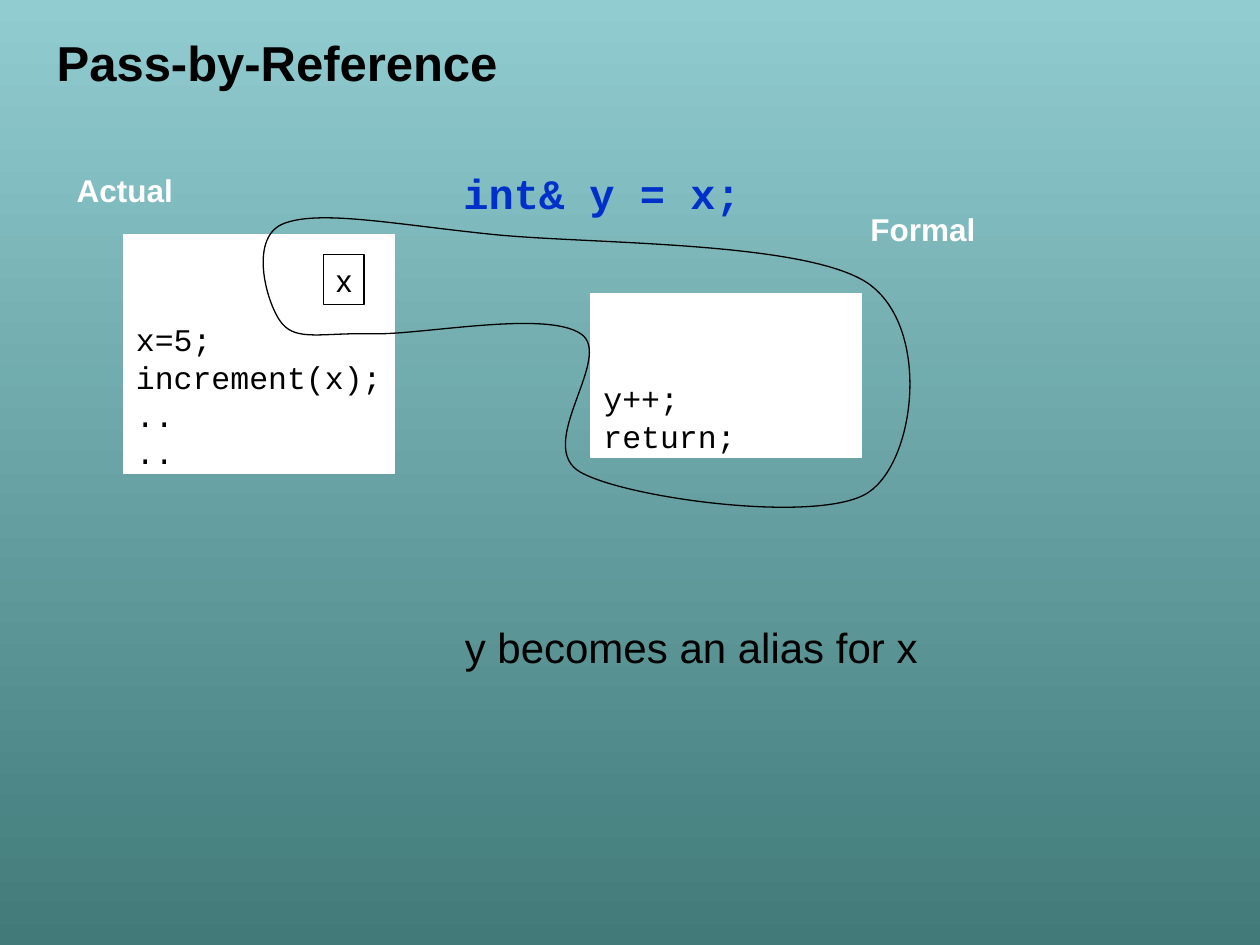
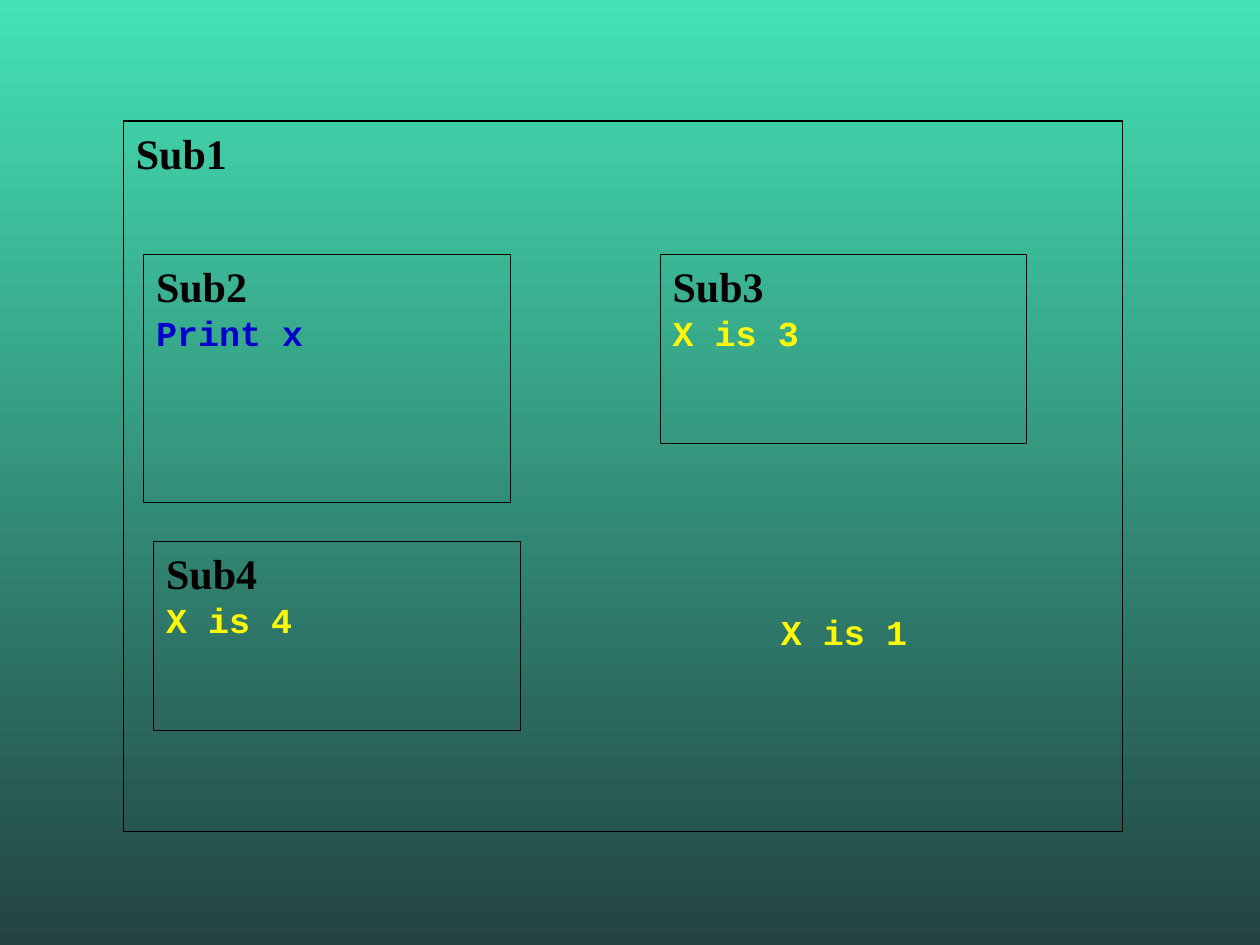
import pptx
import pptx.dml.color
import pptx.enum.shapes
import pptx.enum.text
import pptx.oxml.ns
import pptx.util
import lxml.etree

Inches = pptx.util.Inches
Pt = pptx.util.Pt
Anchor = pptx.enum.text.MSO_ANCHOR

SANS, SERIF, MONO = "Arial", "Times New Roman", "Courier New"
BLACK, WHITE = "000000", "FFFFFF"
NAVY, BLUE, YELLOW = "0030CA", "0000CC", "FDF709"

# Loop around x and the formal block: a start, then three points per curve
START = (2.95, 2.65)
CURVES = [
    (2.56, 2.64), (2.36, 2.71), (2.24, 2.57),
    (2.12, 2.43), (1.97, 1.90), (2.24, 1.78),
    (2.52, 1.66), (3.12, 1.78), (3.90, 1.86),
    (4.67, 1.94), (6.39, 1.91), (6.89, 2.25),
    (7.39, 2.60), (7.27, 3.66), (6.89, 3.91),
    (6.51, 4.16), (4.99, 3.96), (4.61, 3.75),
    (4.23, 3.54), (4.88, 2.83), (4.61, 2.65),
    (4.33, 2.46), (3.35, 2.66), START,
]


def color(code):
    return pptx.dml.color.RGBColor.from_string(code)


def paint(slide, top, bottom):
    """Fill the background with a gradient running downwards."""
    fill = slide.background.fill
    fill.gradient()
    fill.gradient_angle = 270
    for stop, code in zip(fill.gradient_stops, (top, bottom)):
        stop.color.rgb = color(code)


def write(shape, lines, wrap=True, anchor=Anchor.TOP):
    """Write one paragraph per (text, size, font, colour, bold) line."""
    frame = shape.text_frame
    frame.word_wrap = wrap
    frame.auto_size = pptx.enum.text.MSO_AUTO_SIZE.NONE
    frame.vertical_anchor = anchor
    frame.margin_left = frame.margin_right = Inches(0.1)
    frame.margin_top = frame.margin_bottom = Inches(0.05)
    for i, (text, size, font, code, bold) in enumerate(lines):
        para = frame.add_paragraph() if i else frame.paragraphs[0]
        para.alignment = pptx.enum.text.PP_ALIGN.LEFT
        para.line_spacing = Pt(1.2 * size)
        para.space_before = Pt(0)
        run = para.add_run()
        run.text = text
        run.font.size = Pt(size)
        run.font.name = font
        run.font.bold = bold
        run.font.color.rgb = color(code)


def style(shape, line, fill=None, width=0.75):
    shape.shadow.inherit = False
    if fill:
        shape.fill.solid()
        shape.fill.fore_color.rgb = color(fill)
    else:
        shape.fill.background()
    shape.line.color.rgb = color(line)
    shape.line.width = Pt(width)


def box(slide, place, lines, line=BLACK, fill=None, width=0.75, **text):
    shape = slide.shapes.add_shape(
        pptx.enum.shapes.MSO_SHAPE.RECTANGLE, *map(Inches, place))
    style(shape, line, fill, width)
    write(shape, lines, **text)
    return shape


def code_box(slide, place, rows):
    """White block with code resting on its lower edge."""
    lines = [(row, 18, MONO, BLACK, False) for row in rows]
    shape = box(slide, place, lines, WHITE, WHITE, anchor=Anchor.BOTTOM)
    shape.text_frame.margin_bottom = Inches(0.02)


def label(slide, place, *line):
    shape = slide.shapes.add_textbox(*map(Inches, place))
    write(shape, [line], wrap=False)


def scope(slide, place, name, *code, width=0.75):
    """Outlined subprogram with its name and an optional code line."""
    lines = [(name, 24, SERIF, BLACK, True)]
    if code:
        text, tint = code
        lines.append((text, 20, MONO, tint, True))
    box(slide, place, lines, width=width)


def loop(slide, start, points):
    """Draw a closed outline of cubic curves."""
    pen = slide.shapes.build_freeform(*map(Inches, start))
    pen.add_line_segments([tuple(map(Inches, p)) for p in points], close=True)
    shape = pen.convert_to_shape()
    style(shape, BLACK)
    # Join each three straight segments into one curve
    qn = pptx.oxml.ns.qn
    track = next(shape.element.iter(qn("a:path")))
    parts = track.findall(qn("a:lnTo"))
    for i in range(0, len(points), 3):
        curve = lxml.etree.Element(qn("a:cubicBezTo"))
        parts[i].addprevious(curve)
        for part in parts[i:i + 3]:
            curve.append(part[0])
    for part in parts:
        track.remove(part)


def title(slide, place, text):
    shape = slide.shapes.title
    shape.left, shape.top, shape.width, shape.height = map(Inches, place)
    write(shape, [(text, 28, SANS, BLACK, True)])


def alias(deck):
    slide = deck.slides.add_slide(deck.slide_layouts[5])
    paint(slide, "91CCD1", "417A79")
    title(slide, (0.35, 0.21, 5.12, 0.47), "Pass-by-Reference")

    # Caller and called code
    code_box(slide, (0.98, 1.86, 2.15, 1.9),
             ["x=5;", "increment(x);", "..", ".."])
    box(slide, (2.57, 2.02, 0.32, 0.4),
        [("x", 18, SANS, BLACK, False)], wrap=False)
    code_box(slide, (4.69, 2.33, 2.15, 1.3), ["y++;", "return;"])
    loop(slide, START, CURVES)

    # Labels
    label(slide, (3.58, 1.28, 2.6, 0.5), "int& y = x;", 24, MONO, NAVY, True)
    label(slide, (3.59, 4.88, 3.79, 0.5),
          "y becomes an alias for x", 24, SANS, BLACK, False)
    label(slide, (6.81, 1.62, 1.03, 0.4), "Formal", 18, SANS, WHITE, True)
    label(slide, (0.51, 1.31, 0.96, 0.4), "Actual", 18, SANS, WHITE, True)


def scopes(deck):
    slide = deck.slides.add_slide(deck.slide_layouts[6])
    paint(slide, "44E2B5", "234342")

    # Outer scope, then the nested ones
    scope(slide, (0.98, 0.96, 7.93, 5.64), "Sub1", width=1)
    scope(slide, (1.14, 2.02, 2.91, 1.97), "Sub2", "Print x", BLUE)
    scope(slide, (5.24, 2.02, 2.91, 1.5), "Sub3", "X is 3", YELLOW)
    scope(slide, (1.22, 4.3, 2.91, 1.5), "Sub4", "X is 4", YELLOW)
    label(slide, (6.1, 4.8, 1.2, 0.44), "X is 1", 20, MONO, YELLOW, True)


def main():
    deck = pptx.Presentation()
    deck.slide_width, deck.slide_height = Inches(10), Inches(7.5)
    alias(deck)
    scopes(deck)
    deck.save("out.pptx")


if __name__ == "__main__":
    main()
